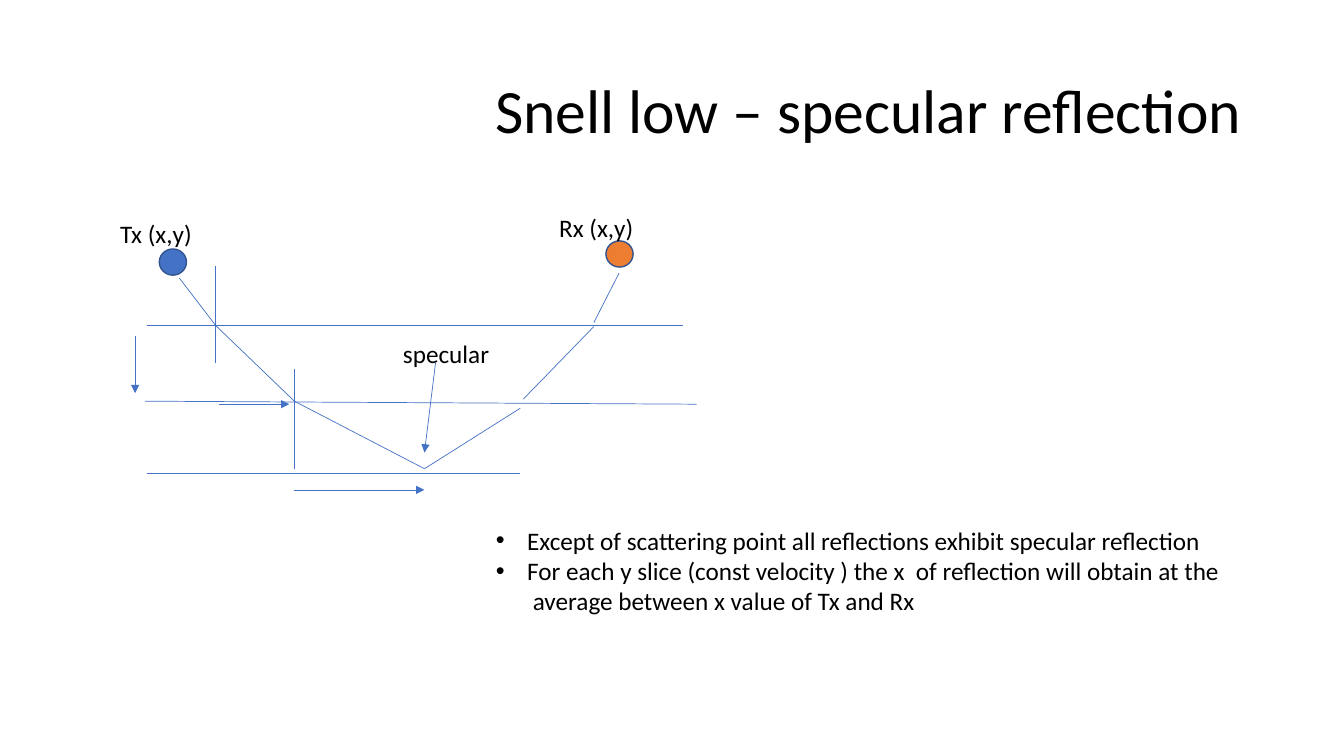
from lxml import etree
from pptx import Presentation
from pptx.dml.color import RGBColor
from pptx.enum.shapes import MSO_CONNECTOR, MSO_SHAPE
from pptx.enum.text import MSO_ANCHOR, MSO_AUTO_SIZE, PP_ALIGN
from pptx.oxml.ns import qn
from pptx.util import Inches, Pt

STRAIGHT = MSO_CONNECTOR.STRAIGHT
OVAL = MSO_SHAPE.OVAL
RIGHT, LEFT = PP_ALIGN.RIGHT, PP_ALIGN.LEFT
MIDDLE = MSO_ANCHOR.MIDDLE
FIT_SHAPE = MSO_AUTO_SIZE.SHAPE_TO_FIT_TEXT

BLACK = RGBColor(0x00, 0x00, 0x00)
BLUE = RGBColor(0x44, 0x72, 0xC4)
DARK_BLUE = RGBColor(0x32, 0x54, 0x91)
ORANGE = RGBColor(0xED, 0x7D, 0x31)
FONT = "Calibri"

TITLE_BOX = (0.92, 0.4, 11.5, 1.45)
DIAGRAM_BOX = (1.08, 2.06, 5.83, 2.8)
NOTES_BOX = (4.32, 5.16, 8.62, 1.31)

# Diagram positions, in inches from its top left corner
SURFACE, LAYER, FLOOR = 1.17, 1.92, 2.64
ENTRY, BEND, REFLECTION = 1.06, 1.84, 3.13
RAY_DOWN = [(0.7, 0.7), (ENTRY, SURFACE), (BEND, LAYER), (REFLECTION, 2.59)]
RAY_UP = [
    ((REFLECTION, 2.59), (4.08, 1.99)),
    ((4.11, 1.9), (4.81, 1.18)),
    ((4.81, 1.14), (5.06, 0.65)),
]
BOUNDARIES = [
    ((0.38, SURFACE), (5.69, SURFACE)),
    ((0.36, LAYER), (5.83, 1.95)),
    ((0.38, FLOOR), (4.08, FLOOR)),
]
NORMALS = [((ENTRY, 0.58), (ENTRY, 1.54)), ((BEND, 1.6), (BEND, 2.59))]
ARROWS = [
    ((BEND, 2.8), (REFLECTION, 2.8)),
    ((1.09, 1.95), (1.79, 1.95)),
    ((0.26, 1.27), (0.26, 1.84)),
    ((3.24, 1.54), (REFLECTION, 2.43)),
]
ANTENNAS = [(0.5, 0.41, BLUE), (4.93, 0.33, ORANGE)]
LABELS = [
    ("Tx (x,y)", 0, 0.06, 0.92),
    ("Rx (x,y)", 4.35, 0, 0.95),
    ("specular", 2.8, 1.25, 1.07),
]
NOTES = [
    "Except of scattering point all reflections exhibit specular reflection",
    "For each y slice (const velocity ) the x  of reflection will obtain at the"
    "\n average between x value of Tx and Rx",
]


def format_paragraph(paragraph, size, alignment):
    paragraph.alignment = alignment
    for run in paragraph.runs:
        run.font.name = FONT
        run.font.size = Pt(size)
        run.font.color.rgb = BLACK


def add_line(slide, box, start, end, arrow=False):
    left, top = box[:2]
    points = [Inches(origin + offset) for point in (start, end)
              for origin, offset in zip((left, top), point)]
    connector = slide.shapes.add_connector(STRAIGHT, *points)
    connector.line.color.rgb = BLUE
    connector.line.width = Pt(0.5)
    if arrow:
        line = connector.line._get_or_add_ln()
        etree.SubElement(line, qn("a:tailEnd"), type="triangle")
    etree.SubElement(connector._element.spPr, qn("a:effectLst"))


def add_antenna(slide, box, x, y, color):
    antenna = slide.shapes.add_shape(
        OVAL, Inches(box[0] + x), Inches(box[1] + y), Inches(0.27), Inches(0.26))
    antenna.shadow.inherit = False
    antenna.fill.solid()
    antenna.fill.fore_color.rgb = color
    antenna.line.color.rgb = DARK_BLUE
    antenna.line.width = Pt(1)


def add_label(slide, box, text, x, y, width):
    label = slide.shapes.add_textbox(
        Inches(box[0] + x), Inches(box[1] + y), Inches(width), Inches(0.4))
    frame = label.text_frame
    frame.word_wrap = False
    frame.auto_size = FIT_SHAPE
    frame.text = text
    format_paragraph(frame.paragraphs[0], 18, RIGHT)


def add_title(slide, box):
    title = slide.shapes.title
    title.left, title.top, title.width, title.height = map(Inches, box)
    title.text_frame.text = "Snell low – specular reflection"
    title.text_frame.vertical_anchor = MIDDLE
    paragraph = title.text_frame.paragraphs[0]
    paragraph.line_spacing = 0.9
    format_paragraph(paragraph, 44, RIGHT)


def add_diagram(slide, box):
    """Draw the ray from Tx through the layers to the floor and back to Rx."""
    rays = list(zip(RAY_DOWN, RAY_DOWN[1:])) + RAY_UP
    for start, end in BOUNDARIES + NORMALS + rays:
        add_line(slide, box, start, end)
    for start, end in ARROWS:
        add_line(slide, box, start, end, arrow=True)
    for antenna in ANTENNAS:
        add_antenna(slide, box, *antenna)
    for label in LABELS:
        add_label(slide, box, *label)


def add_notes_list(slide, box):
    frame = slide.shapes.add_textbox(*map(Inches, box)).text_frame
    frame.word_wrap = True
    frame.auto_size = FIT_SHAPE
    for index, note in enumerate(NOTES):
        paragraph = frame.add_paragraph() if index else frame.paragraphs[0]
        paragraph.text = note
        paragraph.level = 1
        properties = paragraph._p.get_or_add_pPr()
        properties.set("marL", str(Inches(0.81)))
        properties.set("indent", str(Inches(-0.31)))
        etree.SubElement(properties, qn("a:buFont"), typeface="Arial")
        etree.SubElement(properties, qn("a:buChar"), char="•")
        format_paragraph(paragraph, 18, LEFT)


def main():
    presentation = Presentation()
    presentation.slide_width = Inches(13.33)
    presentation.slide_height = Inches(7.5)
    slide = presentation.slides.add_slide(presentation.slide_layouts[5])
    add_title(slide, TITLE_BOX)
    add_diagram(slide, DIAGRAM_BOX)
    add_notes_list(slide, NOTES_BOX)
    presentation.save("out.pptx")


if __name__ == "__main__":
    main()
